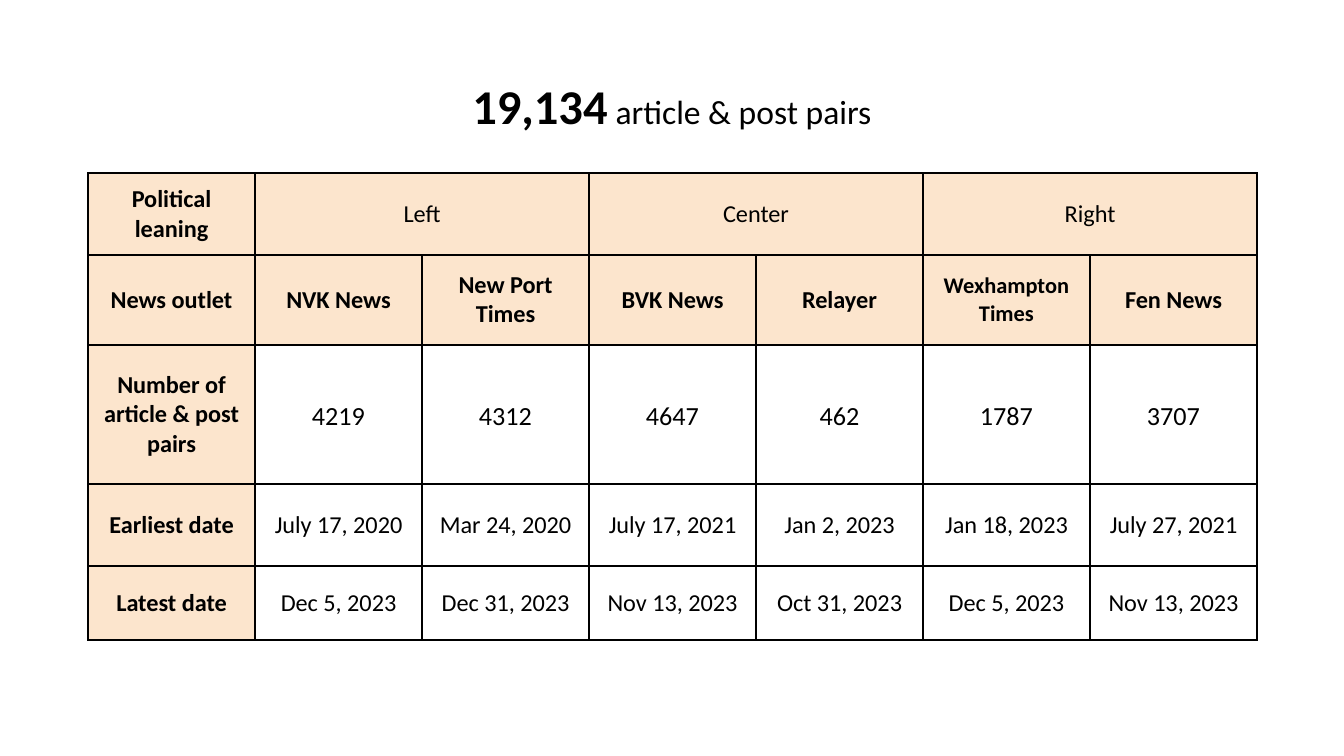
from dataclasses import dataclass

from lxml import etree
from pptx import Presentation
from pptx.dml.color import RGBColor
from pptx.enum.shapes import MSO_SHAPE
from pptx.enum.text import MSO_ANCHOR, PP_ALIGN
from pptx.oxml.ns import qn
from pptx.util import Pt

ROUNDED = MSO_SHAPE.ROUNDED_RECTANGLE
MIDDLE = MSO_ANCHOR.MIDDLE
CENTER = PP_ALIGN.CENTER

TOTAL, TOTAL_UNIT = "19,134", " article & post pairs"
LEANINGS = ["Left", "Center", "Right"]
OUTLETS_PER_LEANING = 2
OUTLETS = ["NVK News", "New Port Times", "BVK News", "Relayer",
           "Wexhampton Times", "Fen News"]
LONG_OUTLET = "Wexhampton Times"
PAIRS = ["4219", "4312", "4647", "462", "1787", "3707"]
EARLIEST = ["July 17, 2020", "Mar 24, 2020", "July 17, 2021",
            "Jan 2, 2023", "Jan 18, 2023", "July 27, 2021"]
LATEST = ["Dec 5, 2023", "Dec 31, 2023", "Nov 13, 2023",
          "Oct 31, 2023", "Dec 5, 2023", "Nov 13, 2023"]


@dataclass(frozen=True)
class Theme:
    font: str = "Calibri"
    ink: RGBColor = RGBColor(0x00, 0x00, 0x00)
    header_fill: RGBColor = RGBColor(0xFC, 0xE5, 0xCD)
    total: Pt = Pt(26)
    unit: Pt = Pt(18)
    count: Pt = Pt(14)
    label: Pt = Pt(13)
    small: Pt = Pt(12)
    border: Pt = Pt(1)


THEME = Theme()
SLIDE_W, SLIDE_H = 1344, 756
TABLE_LEFT, TABLE_TOP, COLUMN_W = 88, 173, 167
ROW_HEIGHTS = [82, 90, 139, 82, 74]
CELL_INSET = 10
HEADLINE_BOX = (445, 69, 454, 73)
HEADLINE_INSET = 13


def px(length):
    return round(length * 914400 / 134.4)


def set_insets(target, inset):
    target.margin_left = target.margin_right = px(inset)
    target.margin_top = target.margin_bottom = px(inset)


def add_borders(cell):
    properties = cell._tc.get_or_add_tcPr()
    for side in ("lnL", "lnR", "lnT", "lnB"):
        line = etree.SubElement(properties, qn(f"a:{side}"), w=str(THEME.border))
        fill = etree.SubElement(line, qn("a:solidFill"))
        etree.SubElement(fill, qn("a:srgbClr"), val=str(THEME.ink))


def fill_cell(cell, text, size, bold, shaded):
    cell.vertical_anchor = MIDDLE
    set_insets(cell, CELL_INSET)
    add_borders(cell)
    if shaded:
        cell.fill.solid()
        cell.fill.fore_color.rgb = THEME.header_fill
    else:
        cell.fill.background()
    cell.text = text
    paragraph = cell.text_frame.paragraphs[0]
    paragraph.alignment = CENTER
    if size == THEME.count:
        paragraph.line_spacing = 1.15
    font = paragraph.font
    font.name, font.size, font.bold = THEME.font, size, bold
    font.color.rgb = THEME.ink


def add_headline(slide):
    headline = slide.shapes.add_shape(ROUNDED, *map(px, HEADLINE_BOX))
    headline.shadow.inherit = False
    headline.fill.background()
    headline.line.fill.background()
    frame = headline.text_frame
    frame.word_wrap = True
    frame.vertical_anchor = MIDDLE
    set_insets(frame, HEADLINE_INSET)
    paragraph = frame.paragraphs[0]
    paragraph.alignment = CENTER
    paragraph.font.name = THEME.font
    paragraph.font.color.rgb = THEME.ink
    for text, size, bold in ((TOTAL, THEME.total, True),
                             (TOTAL_UNIT, THEME.unit, False)):
        run = paragraph.add_run()
        run.text = text
        run.font.size, run.font.bold = size, bold


def add_outlet_table(slide):
    spread_leanings = [name if i == 0 else "" for name in LEANINGS
                       for i in range(OUTLETS_PER_LEANING)]
    # heading, values, value size, values bold, values shaded
    rows = [
        ("Political leaning", spread_leanings, THEME.label, False, True),
        ("News outlet", OUTLETS, THEME.label, True, True),
        ("Number of article & post pairs", PAIRS, THEME.count, False, False),
        ("Earliest date", EARLIEST, THEME.label, False, False),
        ("Latest date", LATEST, THEME.label, False, False),
    ]
    column_count = len(OUTLETS) + 1
    table = slide.shapes.add_table(
        len(rows), column_count, px(TABLE_LEFT), px(TABLE_TOP),
        px(COLUMN_W * column_count), px(sum(ROW_HEIGHTS))).table
    table.first_row = table.horz_banding = False
    for column in table.columns:
        column.width = px(COLUMN_W)
    for r, (heading, values, size, bold, shaded) in enumerate(rows):
        table.rows[r].height = px(ROW_HEIGHTS[r])
        fill_cell(table.cell(r, 0), heading, THEME.label, True, True)
        for c, value in enumerate(values, start=1):
            value_size = THEME.small if value == LONG_OUTLET else size
            fill_cell(table.cell(r, c), value, value_size, bold, shaded)
    for first in range(1, column_count, OUTLETS_PER_LEANING):
        last = first + OUTLETS_PER_LEANING - 1
        table.cell(0, first).merge(table.cell(0, last))


def main():
    deck = Presentation()
    deck.slide_width, deck.slide_height = px(SLIDE_W), px(SLIDE_H)
    slide = deck.slides.add_slide(deck.slide_layouts[6])
    add_outlet_table(slide)
    add_headline(slide)
    deck.save("out.pptx")


if __name__ == "__main__":
    main()
